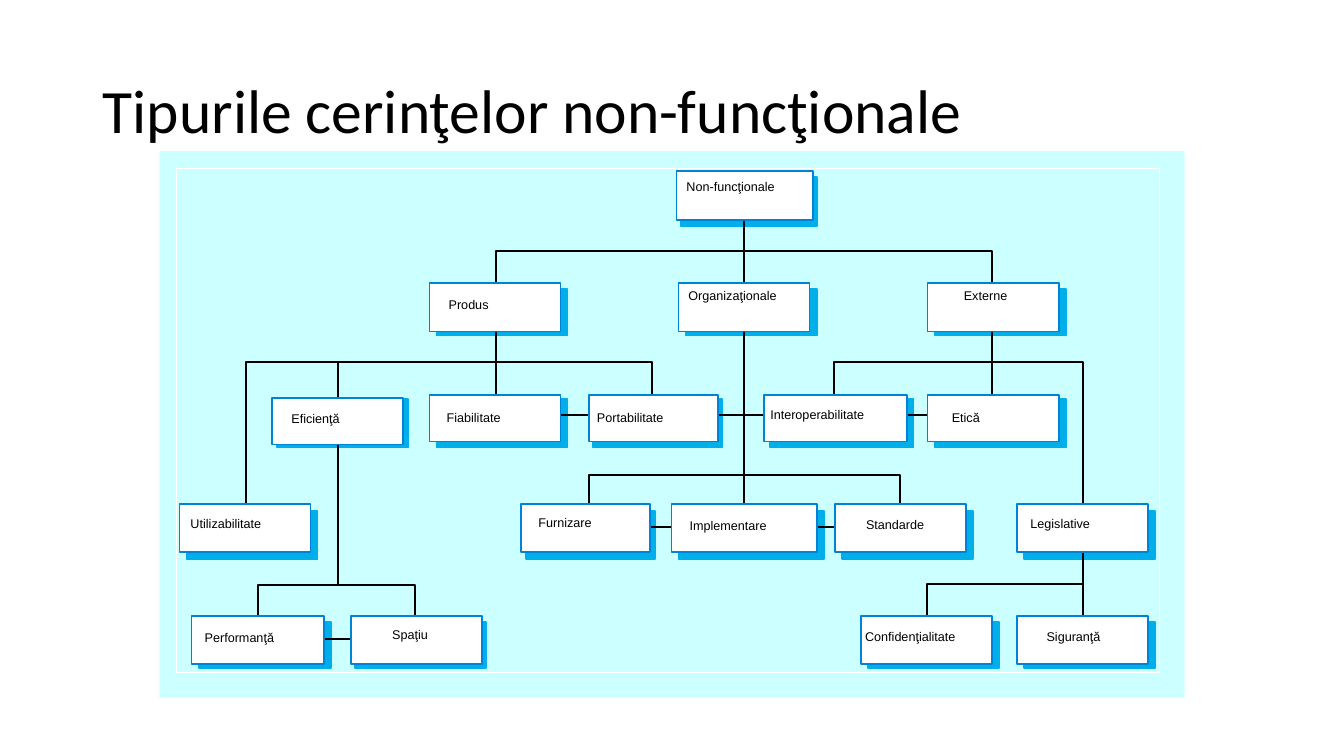
import pptx
import pptx.util
import pptx.dml.color
import pptx.enum.shapes
import pptx.enum.text
import pptx.oxml.ns
import lxml.etree

Inches = pptx.util.Inches
HUES = {"panel": "CCFFFF", "frame": "FFFFFE", "shade": "00AFE9",
        "edge": "0083D7", "box": "FFFFFF", "ink": "000000"}
THIN = 1.3

# Rows: top, height, shadow drop, shadow height,
# then boxes: label, left, width, shadow shift, text inset left and top
ROWS = [
    (0.03, 0.48, 0.06, 0.48, [("Non-funcţionale", 4.96, 1.35, 0.04, 0.10, 0.07)]),
    (1.14, 0.48, 0.06, 0.46, [
        ("Produs", 2.51, 1.30, 0.07, 0.19, 0.14),
        ("Organizaţionale", 4.98, 1.30, 0.07, 0.10, 0.05),
        ("Externe", 7.45, 1.30, 0.07, 0.36, 0.05)]),
    (2.28, 0.46, 0.01, 0.48, [("Eficienţă", 0.95, 1.30, 0.05, 0.19, 0.13)]),
    (2.25, 0.46, 0.04, 0.48, [
        ("Fiabilitate", 2.51, 1.30, 0.07, 0.17, 0.15),
        ("Portabilitate", 4.09, 1.28, 0.04, 0.08, 0.15),
        ("Interoperabilitate", 5.83, 1.42, 0.06, 0.06, 0.12),
        ("Etică", 7.45, 1.30, 0.07, 0.24, 0.15)]),
    (3.33, 0.48, 0.07, 0.48, [
        ("Utilizabilitate", 0.03, 1.30, 0.07, 0.11, 0.12),
        ("Furnizare", 3.42, 1.28, 0.05, 0.17, 0.11),
        ("Implementare", 4.91, 1.44, 0.07, 0.18, 0.14),
        ("Standarde", 6.53, 1.30, 0.07, 0.31, 0.13),
        ("Legislative", 8.34, 1.30, 0.07, 0.13, 0.12)]),
    (4.44, 0.48, 0.06, 0.46, [
        ("Performanţă", 0.15, 1.31, 0.07, 0.13, 0.14),
        ("Spaţiu", 1.73, 1.30, 0.04, 0.41, 0.11),
        ("Confidenţialitate", 6.79, 1.30, 0.07, 0.04, 0.13),
        ("Siguranţă", 8.34, 1.30, 0.07, 0.29, 0.13)]),
]

# Links between boxes: straight stems, bent paths and loops
STEMS = [(5.63, 0.27, 3.57), (8.99, 3.57, 4.68),
         (1.60, 1.92, 2.46), (1.60, 2.72, 4.12)]
BENDS = [[(4.72, 2.46), (4.72, 1.92), (0.69, 1.92), (0.69, 3.32)],
         [(6.52, 2.46), (6.52, 1.92), (8.99, 1.92), (8.99, 3.32)],
         [(7.44, 4.68), (7.44, 4.12), (8.99, 4.12)]]
LOOPS = [(3.17, 0.82, 4.92, 1.63), (4.09, 3.04, 3.09, 0.52),
         (0.81, 4.13, 1.56, 0.54)]


def hue(name):
    return pptx.dml.color.RGBColor.from_string(HUES[name])


def write(shape, text, size, font, inset, anchor, pitch=1.0):
    frame = shape.text_frame
    frame.word_wrap = True
    frame.auto_size = pptx.enum.text.MSO_AUTO_SIZE.NONE
    frame.vertical_anchor = anchor
    (frame.margin_left, frame.margin_top,
     frame.margin_right, frame.margin_bottom) = map(Inches, inset)
    para = frame.paragraphs[0]
    para.alignment = pptx.enum.text.PP_ALIGN.LEFT
    para.line_spacing = pitch
    run = para.add_run()
    run.text = text
    run.font.size = pptx.util.Pt(size)
    run.font.name = font
    run.font.color.rgb = hue("ink")


def paint(shape, fill=None, line=None, weight=THIN):
    shape.shadow.inherit = False
    if fill:
        shape.fill.solid()
        shape.fill.fore_color.rgb = hue(fill)
    else:
        shape.fill.background()
    if line:
        shape.line.color.rgb = hue(line)
        shape.line.width = pptx.util.Pt(weight)
    else:
        shape.line.fill.background()


def rect(slide, left, top, width, height, **style):
    shape = slide.shapes.add_shape(
        pptx.enum.shapes.MSO_SHAPE.RECTANGLE,
        *map(Inches, (left, top, width, height)))
    paint(shape, **style)
    return shape


def stem(slide, x, start, end):
    line = slide.shapes.add_connector(
        pptx.enum.shapes.MSO_CONNECTOR.STRAIGHT,
        *map(Inches, (x, start, x, end)))
    line.line.color.rgb = hue("ink")
    line.line.width = pptx.util.Pt(THIN)
    lxml.etree.SubElement(line._element.spPr, pptx.oxml.ns.qn("a:effectLst"))


def bend(slide, points):
    first, *rest = [(Inches(x), Inches(y)) for x, y in points]
    build = slide.shapes.build_freeform(*first)
    build.add_line_segments(rest, close=False)
    paint(build.convert_to_shape(), line="ink")


def title(slide, left, top, width, height):
    head = slide.shapes.title
    head.left, head.top, head.width, head.height = map(
        Inches, (left, top, width, height))
    write(head, "Tipurile cerinţelor non-funcţionale", size=44, font="Calibri",
          inset=(0.1, 0.05, 0.1, 0.05), pitch=0.9,
          anchor=pptx.enum.text.MSO_ANCHOR.MIDDLE)


def links(slide, left, top):
    for x, start, end in STEMS:
        stem(slide, left + x, top + start, top + end)
    for x, y, width, height in LOOPS:
        rect(slide, left + x, top + y, width, height, line="ink")
    for points in BENDS:
        bend(slide, [(left + x, top + y) for x, y in points])


def tree(slide, left, top, width, height):
    rect(slide, left, top, width, height, line="frame", weight=0)
    # Shadows lie under the links, boxes above them
    for y, _, drop, deep, nodes in ROWS:
        for _, x, wide, shift, _, _ in nodes:
            rect(slide, left + x + shift, top + y + drop, wide, deep,
                 fill="shade", line="shade")
    links(slide, left, top)
    for y, tall, _, _, nodes in ROWS:
        for label, x, wide, _, pad, rise in nodes:
            box = rect(slide, left + x, top + y, wide, tall,
                       fill="box", line="edge")
            write(box, label, size=9, font="Arial", inset=(pad, rise, 0, 0),
                  anchor=pptx.enum.text.MSO_ANCHOR.TOP)


def chart(slide, left, top, width, height):
    rect(slide, left, top, width, height, fill="panel")
    tree(slide, left + 0.17, top + 0.17, 9.75, 5)


deck = pptx.Presentation()
deck.slide_width, deck.slide_height = Inches(13.33), Inches(7.5)
page = deck.slides.add_slide(deck.slide_layouts[5])
title(page, 0.92, 0.4, 11.5, 1.45)
chart(page, 1.58, 1.5, 10.17, 5.42)
deck.save("out.pptx")
